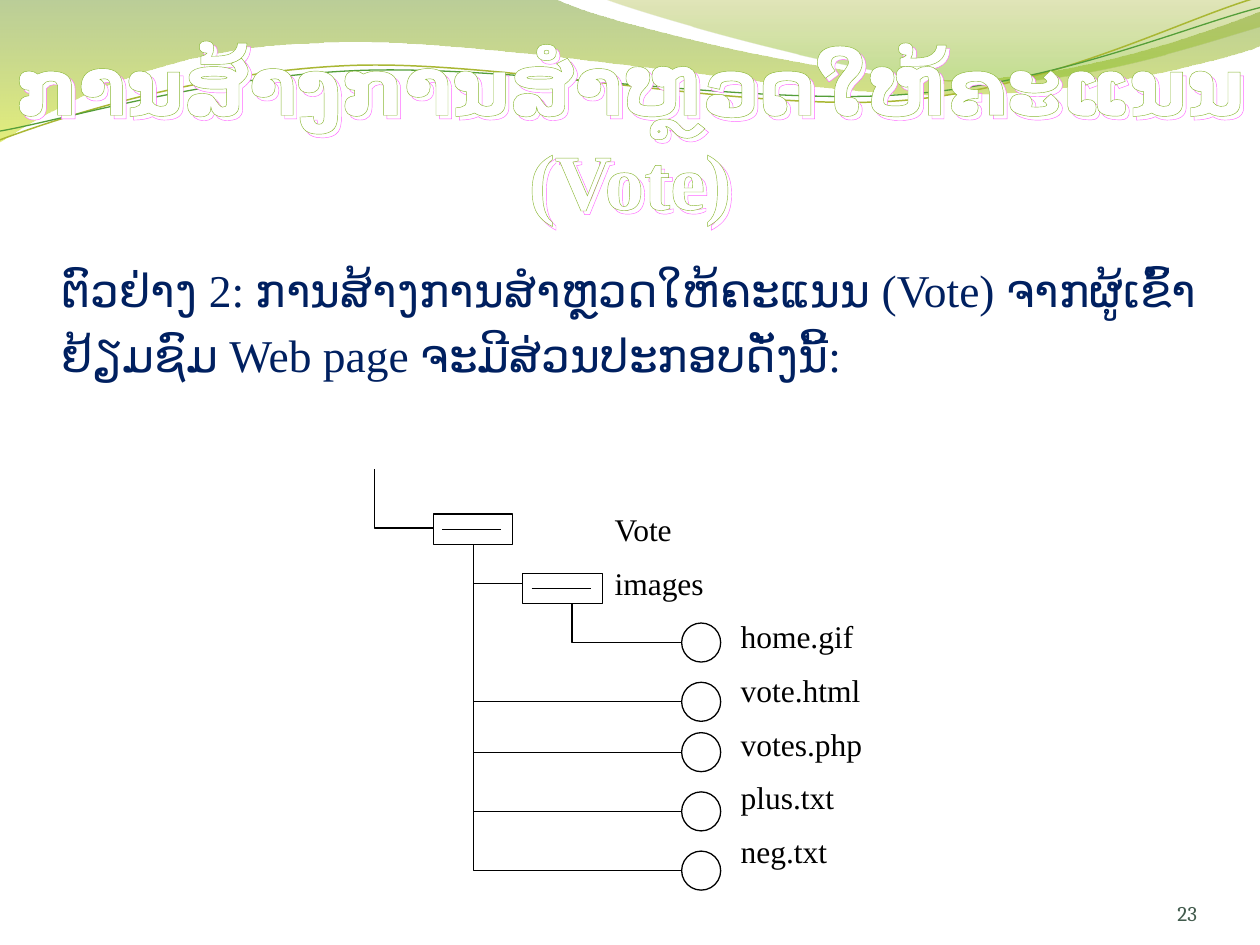
from dataclasses import dataclass
from math import cos, radians, sin

from lxml.etree import SubElement
from pptx import Presentation
from pptx.dml.color import RGBColor
from pptx.enum.shapes import MSO_CONNECTOR, MSO_SHAPE
from pptx.enum.text import MSO_ANCHOR, MSO_AUTO_SIZE, PP_ALIGN
from pptx.oxml import parse_xml
from pptx.oxml.ns import nsdecls, qn
from pptx.util import Inches, Pt


@dataclass(frozen=True)
class Theme:
    font: str = "Times New Roman"
    number_font: str = "Cambria"
    title_size: float = 45
    body_size: float = 26
    label_size: float = 18
    number_size: float = 12
    white: str = "FFFFFF"
    navy: str = "002060"
    black: str = "000000"
    grey: str = "425B4D"
    outline: str = "8AB833"
    shadow: str = "FF66FF"
    olive: str = "A9B733"
    green: str = "549E39"
    # Gradient stops: position, colour, opacity in percent
    wave_left: tuple = ((0, "69921C", 45), (1, "CCE10F", 55))
    wave_right: tuple = ((0, "9BAA1A", 30), (0.8, "81BA16", 45))


THEME = Theme()
STRAND_TILT = 2.7
STRAND_CENTER = (4.99, 0.58)

# Waves: start point, then lines (one point) or Bezier curves (three points)
WAVE_LEFT = [
    [(0, 0)], [(4.4, -0.01)],
    [(4.76, 0.17), (6.64, 0.63), (7.58, 0.63)],
    [(8.53, 0.63), (9.58, 0.26), (10, 0.09)], [(10.01, 0.36)],
    [(9.83, 0.44), (8.7, 0.76), (7.46, 0.75)],
    [(6.22, 0.75), (3.82, 0.28), (2.57, 0.34)],
    [(1.29, 0.36), (0.46, 0.83), (-0.01, 1.13)], [(0, 0)],
]
WAVE_RIGHT = [
    [(4.79, -0.01)],
    [(5.09, 0.11), (6.82, 0.62), (7.69, 0.65)],
    [(8.56, 0.69), (9.61, 0.32), (10, 0.21)], [(10, 0)], [(4.79, -0.01)],
]
STRAND_OLIVE = [
    [(0, 1.11)],
    [(0.48, 0.93), (1.58, 0.57), (2.77, 0.52)],
    [(3.95, 0.47), (5.93, 0.89), (7.13, 0.8)],
    [(8.33, 0.71), (9.38, 0.15), (9.98, -0.02)],
]
STRAND_GREEN = [
    [(0, 1.04)],
    [(0.47, 0.96), (1.64, 0.61), (2.83, 0.56)],
    [(4.03, 0.51), (5.97, 0.84), (7.17, 0.75)],
    [(8.36, 0.67), (9.41, 0.21), (10, 0.06)],
]

# Directory tree
LABELS = ["Vote", "images", "\thome.gif", "\tvote.html", "\tvotes.php",
          "\tplus.txt", "\tneg.txt"]
FOLDERS = [(3.44, 4.08), (4.15, 4.55)]
FOLDER_W, FOLDER_H = 0.63, 0.24
FILE_X, FILE_D = 5.41, 0.31
FILE_YS = [5.1, 5.57, 5.97, 6.44, 6.91]
TRUNK_X = 3.76


def rgb(value):
    return RGBColor.from_string(value)


def set_line(s, color=THEME.black, width=0.75):
    s.line.color.rgb = rgb(color)
    s.line.width = Pt(width)


def add_outline(slide, segments, closed=False):
    points = [(Inches(x), Inches(y)) for segment in segments for x, y in segment]
    builder = slide.shapes.build_freeform(*points[0], scale=1.0)
    builder.add_line_segments(points[1:], close=closed)
    s = builder.convert_to_shape()
    s.shadow.inherit = False
    s.fill.background()
    # Join each group of three points into one curve
    steps = iter(list(s._element.spPr.iter(qn("a:lnTo"))))
    for segment in segments[1:]:
        group = [next(steps) for _ in segment]
        if len(group) == 3:
            group[0].tag = qn("a:cubicBezTo")
            for step in group[1:]:
                group[0].append(step[0])
                step.getparent().remove(step)
    return s


def add_wave(slide, segments, stops):
    s = add_outline(slide, segments, closed=True)
    s.line.fill.background()
    s.fill.gradient()
    s.fill.gradient_angle = 270
    for stop, (position, color, _) in zip(s.fill.gradient_stops, stops):
        stop.position = position
        stop.color.rgb = rgb(color)
    for node, (_, _, opacity) in zip(s._element.spPr.iter(qn("a:srgbClr")), stops):
        SubElement(node, qn("a:alpha"), val=str(opacity * 1000))


def level(point):
    """Turn a point of a tilted strand back to the horizontal."""
    cx, cy = STRAND_CENTER
    dx, dy, a = point[0] - cx, point[1] - cy, radians(STRAND_TILT)
    return cx + dx * cos(a) - dy * sin(a), cy + dx * sin(a) + dy * cos(a)


def add_strand(slide, segments, color, width):
    s = add_outline(slide, [[level(p) for p in segment] for segment in segments])
    s.rotation = 360 - STRAND_TILT
    set_line(s, color, width)


def add_elbow(slide, *points):
    set_line(add_outline(slide, [[p] for p in points]))


def add_line(slide, x1, x2, y):
    s = slide.shapes.add_connector(MSO_CONNECTOR.STRAIGHT, Inches(x1), Inches(y),
                                   Inches(x2), Inches(y))
    set_line(s)
    SubElement(s._element.spPr, qn("a:effectLst"))


def add_node(slide, kind, x, y, w, h):
    s = slide.shapes.add_shape(kind, Inches(x), Inches(y), Inches(w), Inches(h))
    s.shadow.inherit = False
    s.fill.background()
    set_line(s)


def add_folder(slide, x, y):
    add_node(slide, MSO_SHAPE.FLOWCHART_PROCESS, x, y, FOLDER_W, FOLDER_H)
    add_line(slide, x + 0.07, x + 0.54, y + FOLDER_H / 2)


def add_text(slide, box, lines, size, color, font=THEME.font, bold=False, lang="en-US",
             align=PP_ALIGN.LEFT, anchor=MSO_ANCHOR.TOP, space=0, spacing=None, insets=None):
    sp = slide.shapes.add_textbox(*map(Inches, box))
    tf = sp.text_frame
    tf.word_wrap = True
    tf.vertical_anchor = anchor
    if insets:
        tf.margin_left, tf.margin_top, tf.margin_right, tf.margin_bottom = map(Inches, insets)
    tf.text = "\n".join(lines)
    for p in tf.paragraphs:
        p.alignment = align
        p.space_before = Pt(space)
        p.line_spacing = spacing
        for r in p.runs:
            r.font.size = Pt(size)
            r.font.bold = bold
            r.font.name = font
            r.font.color.rgb = rgb(color)
            r.font._element.set("lang", lang)
            SubElement(r.font._element, qn("a:cs"), typeface=font)
    return sp


def add_title_effects(sp):
    """Outline the letters and give them an offset shadow."""
    r = sp.text_frame.paragraphs[0].runs[0]
    r.font._element.insert(0, parse_xml(
        f'<a:ln {nsdecls("a")} w="6600"><a:solidFill>'
        f'<a:srgbClr val="{THEME.outline}"/></a:solidFill></a:ln>'))
    sp._element.spPr.append(parse_xml(
        f'<a:effectLst {nsdecls("a")}><a:outerShdw dist="38100" dir="2700000">'
        f'<a:srgbClr val="{THEME.shadow}"/></a:outerShdw></a:effectLst>'))


def add_tree(slide):
    tf = add_text(slide, (4.78, 4, 2.36, 3.11), LABELS, THEME.label_size,
                  THEME.black, space=9).text_frame
    tf.auto_size = MSO_AUTO_SIZE.SHAPE_TO_FIT_TEXT
    for p in tf.paragraphs:
        tabs = SubElement(p._p.get_or_add_pPr(), qn("a:tabLst"))
        SubElement(tabs, qn("a:tab"), pos=str(Inches(1)), algn="l")
    for x, y in FOLDERS:
        add_folder(slide, x, y)
    for y in FILE_YS:
        add_node(slide, MSO_SHAPE.OVAL, FILE_X, y - FILE_D / 2, FILE_D, FILE_D)

    # Branches: root, trunk with its side lines, images folder
    add_elbow(slide, (3.44, 4.19), (2.97, 4.19), (2.97, 3.72))
    add_elbow(slide, (TRUNK_X, 4.32), (TRUNK_X, FILE_YS[-1]), (FILE_X, FILE_YS[-1]))
    add_line(slide, TRUNK_X, FOLDERS[1][0], 4.63)
    for y in FILE_YS[1:-1]:
        add_line(slide, TRUNK_X, FILE_X, y)
    add_elbow(slide, (4.54, 4.79), (4.54, FILE_YS[0]), (FILE_X, FILE_YS[0]))


def main():
    prs = Presentation()
    prs.slide_width, prs.slide_height = Inches(10), Inches(7.5)
    slide = prs.slides.add_slide(prs.slide_layouts[6])

    # Header waves
    add_wave(slide, WAVE_LEFT, THEME.wave_left)
    add_wave(slide, WAVE_RIGHT, THEME.wave_right)
    add_strand(slide, STRAND_OLIVE, THEME.olive, 0.85)
    add_strand(slide, STRAND_GREEN, THEME.green, 0.75)

    # Title and introduction
    title = add_text(slide, (0, 0.74, 10, 1.05), ["ການສ້າງການສຳຫຼວດໃຫ້ຄະແນນ (Vote)"],
                     THEME.title_size, THEME.white, bold=True, lang="lo-LA",
                     align=PP_ALIGN.CENTER, anchor=MSO_ANCHOR.BOTTOM, insets=(0, 0.05, 0, 0))
    add_title_effects(title)
    add_text(slide, (0.39, 1.94, 9.34, 1.56),
             ["ຕົວຢ່າງ 2: ການສ້າງການສຳຫຼວດໃຫ້ຄະແນນ (Vote) ຈາກຜູ້ເຂົ້າຢ້ຽມຊົມ "
              "Web page ຈະມີສ່ວນປະກອບດັ່ງນີ້:"],
             THEME.body_size, THEME.navy, lang="lo-LA", space=5, spacing=1.2)

    add_tree(slide)

    # Slide number
    add_text(slide, (8.67, 6.95, 0.83, 0.4), ["23"], THEME.number_size, THEME.grey,
             font=THEME.number_font, align=PP_ALIGN.RIGHT, anchor=MSO_ANCHOR.BOTTOM,
             insets=(0, 0, 0, 0))
    prs.save("out.pptx")


if __name__ == "__main__":
    main()
